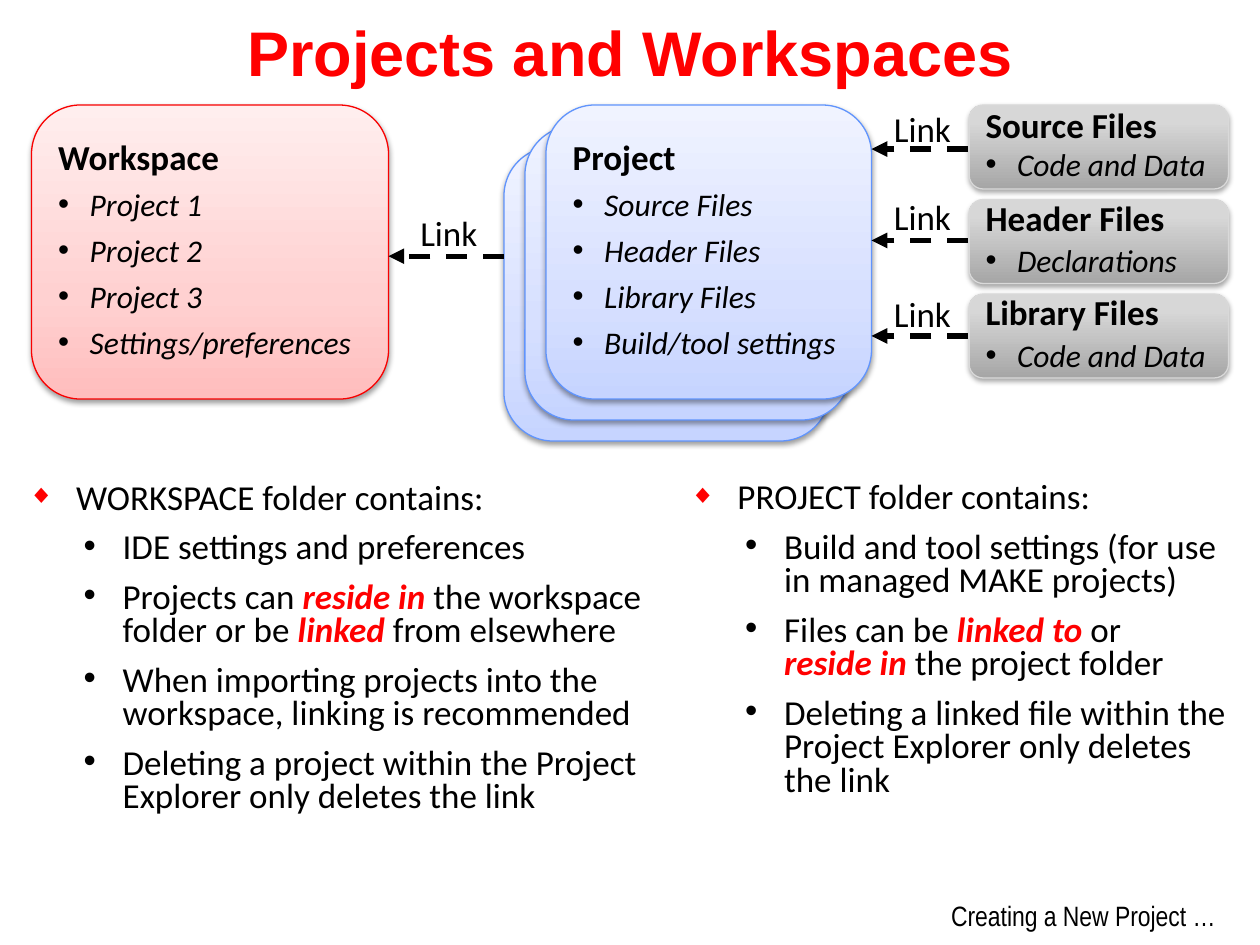
from dataclasses import dataclass

from lxml import etree
from pptx import Presentation, util as u
from pptx.dml.color import RGBColor
from pptx.enum import dml, shapes, text
from pptx.oxml.ns import qn

COLUMNS, ROWS = 120, 90  # grid over the slide


@dataclass(frozen=True)
class Theme:
    black: str = "000000"
    red: str = "FF0000"
    font: str = "Calibri"
    title_font: str = "Arial"
    footer_font: str = "Arial Narrow"
    title: int = 36
    body: int = 20
    item: int = 18
    footer: int = 16
    line_spacing: float = 0.8


THEME = Theme()

# border, gradient stops (position, colour) from bottom to top, shadow opacity
RED = ("F90000", [(0, "FFBDBD"), (35, "FFD1D1"), (100, "FFEEEE")], 38)
BLUE = ("6094FD", [(0, "C6D4FF"), (35, "D7E0FF"), (100, "F0F3FF")], 38)
GRAY = ("D9D9D9", [(0, "A6A6A6"), (80, "D7D7D7"), (100, "D8D8D8")], 35)

TITLE = "Projects and Workspaces"
FOOTER = "Creating a New Project …"
WORKSPACE = ("Workspace", ["Project 1", "Project 2", "Project 3", "Settings/preferences"])
PROJECT = ("Project", ["Source Files", "Header Files", "Library Files", "Build/tool settings"])
FILES = [  # heading, items, space before
    ("Source Files", ["Code and Data"], 4),
    ("Header Files", ["Declarations"], 6),
    ("Library Files", ["Code and Data"], 6),
]
LINKS = [  # start column, end column, row, label column, label row
    (48, 37, 24.4, 38.8, 20.3),
    (92.2, 83, 14.2, 83.9, 10.4),
    (92.2, 83, 22.9, 83.9, 18.7),
    (92.2, 83, 32, 83.9, 28),
]
# Stars enclose emphasised words.
FOLDERS = [
    ((1.5, 44.6, 62.5, 34.5), "WORKSPACE folder contains:", [
        "IDE settings and preferences",
        "Projects can *reside in* the workspace folder or be *linked* from elsewhere",
        "When importing projects into the workspace, linking is recommended",
        "Deleting a project within the Project Explorer only deletes the link",
    ]),
    ((64.5, 44.6, 54, 32.9), "PROJECT folder contains:", [
        "Build and tool settings (for use\nin managed MAKE projects)",
        "Files can be *linked to* or \n*reside in* the project folder",
        "Deleting a linked file within the Project Explorer only deletes the link",
    ]),
]

presentation = Presentation()
presentation.slide_width, presentation.slide_height = u.Inches(10), u.Inches(7.5)
slide = presentation.slides.add_slide(presentation.slide_layouts[5])


def place(*cells):
    """Turn alternating column and row values into slide lengths."""
    sizes = (presentation.slide_width / COLUMNS, presentation.slide_height / ROWS)
    return [u.Emu(round(cell * sizes[i % 2])) for i, cell in enumerate(cells)]


def set_all(target, **values):
    for name, value in values.items():
        setattr(target, name, value)


def add_element(parent, tag, **attributes):
    values = {name: str(value) for name, value in attributes.items()}
    return etree.SubElement(parent, qn(tag), values)


def set_font(font, size, color=THEME.black, name=THEME.font, bold=False, italic=False):
    set_all(font, size=u.Pt(size), name=name, bold=bold, italic=italic)
    font.color.rgb = RGBColor.from_string(color)


def set_bullet(paragraph, character, indent, hanging, color=THEME.black, percent=100):
    properties = paragraph._p.get_or_add_pPr()
    properties.set("marL", str(u.Inches(indent)))
    properties.set("indent", str(-u.Inches(hanging)))
    add_element(add_element(properties, "a:buClr"), "a:srgbClr", val=color)
    add_element(properties, "a:buSzPct", val=percent * 1000)
    add_element(properties, "a:buFont", typeface="Arial")
    add_element(properties, "a:buChar", char=character)


def write(frame, lines, space_before=0, align=text.PP_ALIGN.LEFT):
    """Fill a frame with (words, font values, bullet arguments) lines."""
    for index, (words, font, bullet) in enumerate(lines):
        paragraph = frame.add_paragraph() if index else frame.paragraphs[0]
        if bullet:
            set_bullet(paragraph, *bullet)
        set_all(paragraph, alignment=align, line_spacing=THEME.line_spacing,
                space_before=u.Pt(space_before if index else 0))
        for part, piece in enumerate(words.split("*")):
            emphasis = dict(color=THEME.red, bold=True, italic=True) if part % 2 else {}
            for row, chunk in enumerate(piece.split("\n")):
                if row:
                    paragraph.add_line_break()
                if chunk:
                    run = paragraph.add_run()
                    run.text = chunk
                    set_font(run.font, **{**font, **emphasis})


def add_text(cells, lines, wrap=True, anchor=text.MSO_ANCHOR.MIDDLE, **options):
    frame = slide.shapes.add_textbox(*place(*cells)).text_frame
    set_all(frame, word_wrap=wrap, vertical_anchor=anchor,
            auto_size=text.MSO_AUTO_SIZE.SHAPE_TO_FIT_TEXT)
    write(frame, lines, **options)
    return frame


def add_card(cells, style, heading="", items=(), space_before=9):
    border, stops, opacity = style
    shape = slide.shapes.add_shape(shapes.MSO_SHAPE.ROUNDED_RECTANGLE, *place(*cells))
    shape.fill.gradient()
    shape.fill.gradient_angle = 90
    stop_list = shape._element.spPr.find(".//" + qn("a:gsLst"))
    stop_list.clear()
    for position, color in stops:
        stop = add_element(stop_list, "a:gs", pos=position * 1000)
        add_element(stop, "a:srgbClr", val=color)
    shape.line.color.rgb = RGBColor.from_string(border)
    shape.line.width = u.Pt(0.75)
    shape.shadow.inherit = False
    shadow = add_element(shape._element.spPr.find(qn("a:effectLst")), "a:outerShdw",
                         blurRad=u.Pt(3.1), dist=u.Pt(1.6), dir=90 * 60000, rotWithShape=0)
    color = add_element(shadow, "a:srgbClr", val=THEME.black)
    add_element(color, "a:alpha", val=opacity * 1000)
    if heading:
        lines = [(heading, dict(size=THEME.body, bold=True), None)]
        lines += [(item, dict(size=THEME.item, italic=True), ("•", 0.25, 0.25))
                  for item in items]
        set_all(shape.text_frame, word_wrap=True, vertical_anchor=text.MSO_ANCHOR.MIDDLE)
        write(shape.text_frame, lines, space_before)


def add_link(start, end, row, label_column, label_row):
    add_text((label_column, label_row, 7.9, 4.5), [("Link", dict(size=THEME.body), None)],
             wrap=False, align=text.PP_ALIGN.CENTER)
    connector = slide.shapes.add_connector(
        shapes.MSO_CONNECTOR.STRAIGHT, *place(start, row, end, row))
    set_all(connector.line, width=u.Pt(3), dash_style=dml.MSO_LINE.DASH)
    connector.line.color.rgb = RGBColor.from_string(THEME.black)
    add_element(connector.line._get_or_add_ln(), "a:tailEnd", type="triangle")
    add_element(connector._element.spPr, "a:effectLst")


title = slide.shapes.title
set_all(title, **dict(zip(("left", "top", "width", "height"), place(0, 0, COLUMNS, 9.7))))
set_all(title.text_frame, text=TITLE, vertical_anchor=text.MSO_ANCHOR.MIDDLE,
        auto_size=text.MSO_AUTO_SIZE.NONE)
title.text_frame.paragraphs[0].alignment = text.PP_ALIGN.CENTER
set_font(title.text_frame.paragraphs[0].runs[0].font, THEME.title, THEME.red,
         THEME.title_font, bold=True)

add_card((3, 10, 34, 28), RED, *WORKSPACE)
for depth in (2, 1, 0):
    add_card((52 - 2 * depth, 10 + 2 * depth, 31, 28), BLUE, *(() if depth else PROJECT))
for index, (heading, items, gap) in enumerate(FILES):
    add_card((92.3, 10 + 9 * index, 24.7, 8), GRAY, heading, items, gap)
for link in LINKS:
    add_link(*link)

body_font = dict(size=THEME.body)
for cells, heading, items in FOLDERS:
    lines = [(heading, body_font, ("◆", 0.38, 0.38, THEME.red, 75))]
    lines += [(item, body_font, ("•", 0.75, 0.31)) for item in items]
    add_text(cells, lines, space_before=9)

footer = add_text((90.4, 86.2, 25.4, 2.6),
                  [(FOOTER, dict(size=THEME.footer, name=THEME.footer_font), None)],
                  wrap=False, anchor=text.MSO_ANCHOR.BOTTOM, align=text.PP_ALIGN.RIGHT)
set_all(footer, margin_left=0, margin_top=0, margin_right=0, margin_bottom=0)

presentation.save("out.pptx")
